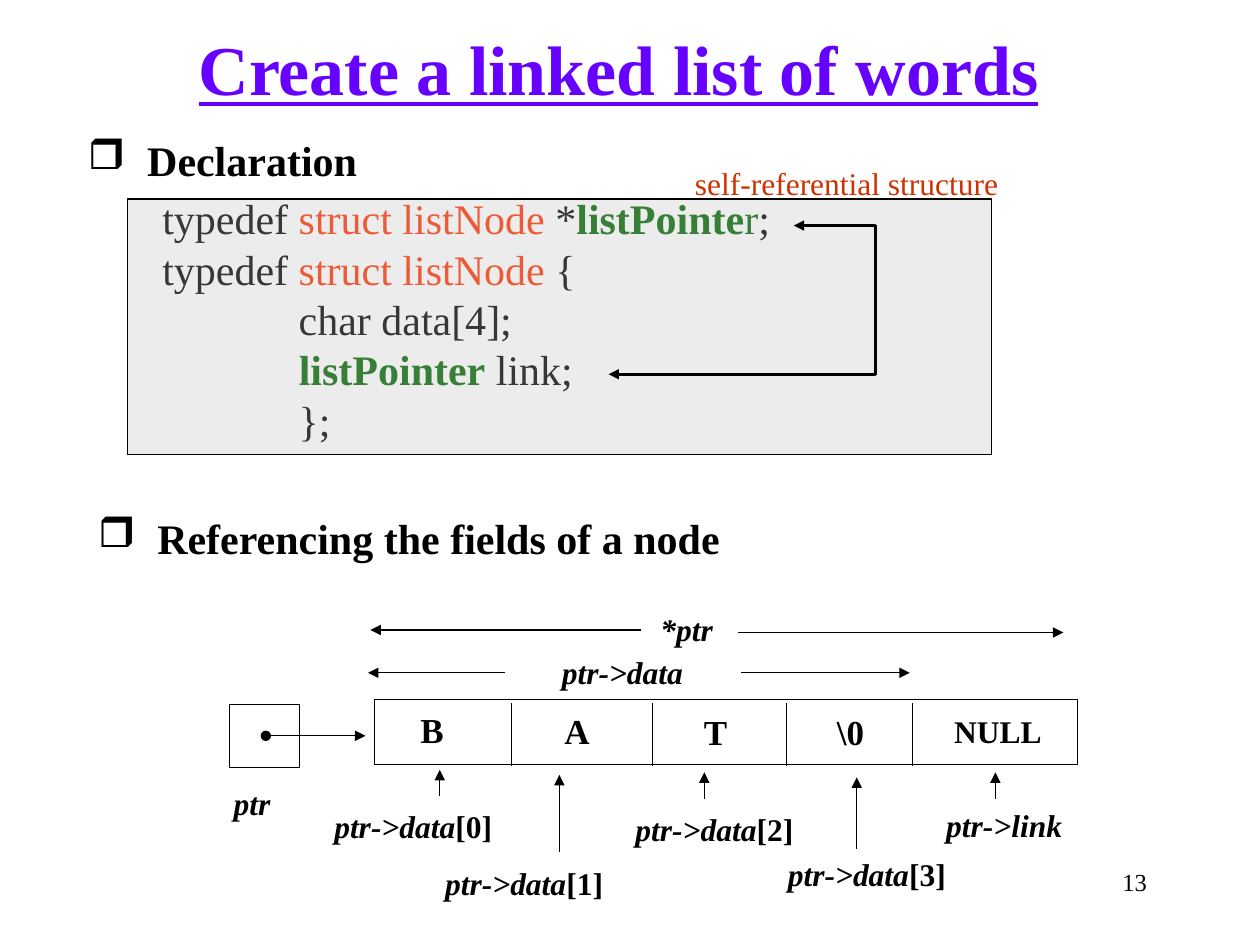
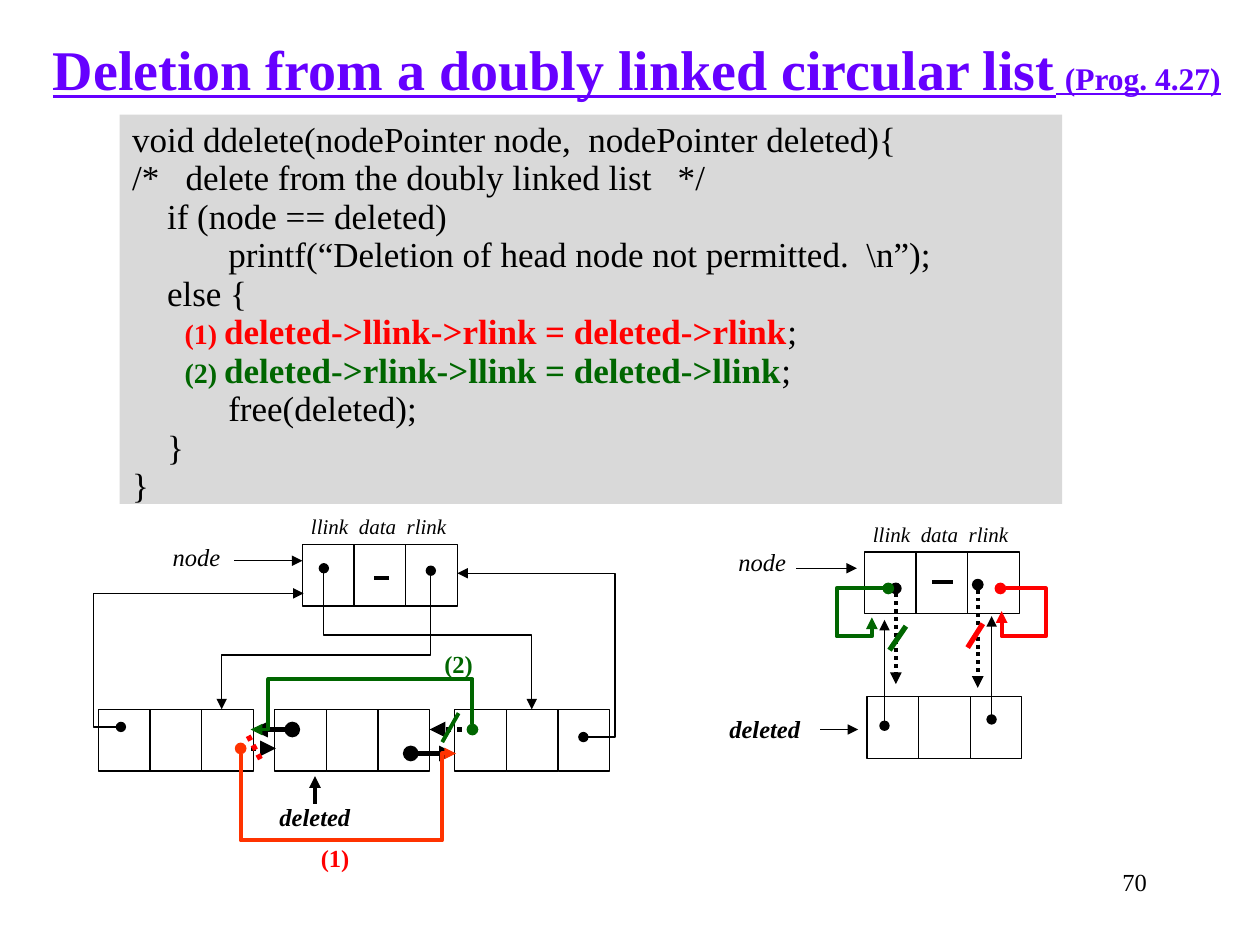
"""Build two slides about linked lists: node declaration and deletion."""
from dataclasses import dataclass
from typing import NamedTuple, Optional

from lxml.etree import SubElement
from pptx import Presentation
from pptx.dml.color import RGBColor
from pptx.enum.dml import MSO_LINE
from pptx.enum.shapes import MSO_CONNECTOR, MSO_SHAPE
from pptx.enum.text import MSO_ANCHOR, PP_ALIGN
from pptx.oxml.ns import qn
from pptx.util import Inches, Pt

FONT = "Times New Roman"
BLACK, PURPLE, RUST = "000000", "6600FF", "CC3300"
GREEN, RED, ORANGE = "006600", "FF0000", "FF3300"
PANEL, SILVER = "D9D9D9", "BFBFBF"
CELL_WIDTH, CELL_HEIGHT = 0.41, 0.49
INDENT = " " * 13


class Span(NamedTuple):
    """A run of text with the settings that differ from its paragraph."""
    text: str
    color: Optional[str] = None
    bold: Optional[bool] = None
    italic: Optional[bool] = None
    size: Optional[float] = None


@dataclass(frozen=True)
class Style:
    """Paragraph-wide text settings."""
    size: float
    color: str = BLACK
    bold: bool = False
    italic: bool = False
    underline: bool = False
    align: PP_ALIGN = PP_ALIGN.CENTER
    spacing: Optional[float] = None


@dataclass(frozen=True)
class Label:
    """A line of centred text placed by its middle and top."""
    text: str
    center: float
    top: float
    style: Style
    suffix: str = ""
    width: float = 1.6


@dataclass(frozen=True)
class Wire:
    """A line through points, with optional ends."""
    points: tuple
    width: float = 0.75
    color: str = BLACK
    head: str = ""
    tail: str = "triangle"
    dotted: bool = False


class Field(NamedTuple):
    """One field of the node, with its caption and pointing arrow."""
    value: str
    center: float
    top: float
    size: float
    caption: str
    suffix: str
    caption_center: float
    caption_top: float
    arrow_x: float
    arrow_from: float
    arrow_to: float


TITLE = Style(40, PURPLE, bold=True, underline=True)
LONG_TITLE = Style(32, PURPLE, bold=True, underline=True)
HEADING = Style(24, bold=True, align=PP_ALIGN.LEFT)
CODE = Style(24, align=PP_ALIGN.LEFT)
SMALL_CODE = Style(20, align=PP_ALIGN.LEFT, spacing=22)
NUMBER = Style(14, align=PP_ALIGN.RIGHT)
POINTER = Style(18, bold=True, italic=True)
NODE_NAME = Style(14, italic=True)
DELETED_NAME = Style(14, bold=True, italic=True)
COLUMNS = Style(12, italic=True, align=PP_ALIGN.LEFT)

DECLARATION = [
    [Span("typedef "), Span("struct listNode", ORANGE), Span(" *"),
     Span("listPointe", GREEN, True), Span("r", GREEN), Span(";")],
    [Span("typedef "), Span("struct listNode", ORANGE), Span(" {")],
    [Span(INDENT + "char data[4];")],
    [Span(INDENT), Span("listPointer", GREEN, True), Span(" link;")],
    [Span(INDENT + "};")],
]
FIELDS = [
    Field("B", 3.43, 5.57, 20, "ptr->data", "[0]", 3.28, 6.36, 3.49, 6.32, 6.11),
    Field("A", 4.58, 5.58, 20, "ptr->data", "[1]", 4.16, 6.81, 4.44, 6.76, 6.15),
    Field("T", 5.68, 5.59, 20, "ptr->data", "[2]", 5.67, 6.38, 5.59, 6.34, 6.13),
    Field("\\0", 6.75, 5.59, 20, "ptr->data", "[3]", 6.88, 6.74, 6.8, 6.74, 6.17),
    Field("NULL", 7.92, 5.6, 18, "ptr->link", "", 7.97, 6.35, 7.9, 6.34, 6.13),
]
NODE_LABELS = [
    Label("self-referential structure", 6.72, 1.25, Style(18, RUST), width=3),
    Label("*ptr", 5.45, 4.79, POINTER),
    Label("ptr->data", 4.94, 5.13, POINTER),
    Label("ptr", 2.0, 6.17, POINTER),
]
NODE_WIRES = [
    Wire(((5.86, 5.02), (8.44, 5.02))),
    Wire(((5.09, 5), (2.94, 5))),
    Wire(((4.01, 5.34), (2.92, 5.34))),
    Wire(((5.88, 5.34), (7.22, 5.34))),
    Wire(((2.11, 5.84), (2.9, 5.84)), head="oval"),
    Wire(((6.3, 1.79), (6.95, 1.79), (6.95, 2.97), (4.83, 2.97)), 1.5, head="triangle"),
]


def step(mark: str, code: str, color: str) -> list[Span]:
    """Return the spans of a numbered statement."""
    return [Span("      "), Span(mark + " ", color, True, size=16),
            Span(code, color, True), Span(";")]


DELETION = [
    [Span("void ddelete(nodePointer node,  nodePointer deleted){")],
    [Span("/*   delete from the doubly linked list   */")],
    [Span("    if (node == deleted)")],
    [Span("           printf(“Deletion of head node not permitted.  \\n”);")],
    [Span("    else {")],
    step("(1)", "deleted->llink->rlink = deleted->rlink", RED),
    step("(2)", "deleted->rlink->llink = deleted->llink", GREEN),
    [Span("           free(deleted);")],
    [Span("    }")],
    [Span("}")],
]
NODES = [(2.4, 4.32), (2.18, 5.63), (3.61, 5.63), (0.78, 5.63), (6.86, 4.38), (6.88, 5.53)]
COLUMN_LABELS = [(2.37, 4.03), (6.83, 4.09)]
LIST_LABELS = [
    Label("node", 1.56, 4.25, NODE_NAME),
    Label("node", 6.05, 4.29, NODE_NAME),
    Label("deleted", 2.5, 6.32, DELETED_NAME),
    Label("deleted", 6.07, 5.62, DELETED_NAME),
    Label("(1)", 2.66, 6.64, Style(14, RED, bold=True)),
    Label("(2)", 3.64, 5.1, Style(14, GREEN, bold=True)),
]
LIST_WIRES = [
    Wire(((2.57, 4.51), (2.57, 5.04), (4.22, 5.04), (4.22, 5.63)), head="oval"),
    Wire(((3.42, 4.53), (3.42, 5.2), (1.76, 5.2), (1.76, 5.63)), head="oval"),
    Wire(((0.96, 5.77), (0.74, 5.77), (0.74, 4.71), (2.41, 4.71)), head="oval"),
    Wire(((1.86, 4.45), (2.4, 4.45))),
    Wire(((4.63, 5.85), (4.88, 5.85), (4.88, 4.55), (3.63, 4.55)), head="oval"),
    Wire(((1.91, 5.94), (2.19, 5.94)), 3, dotted=True),
    Wire(((3.26, 5.98), (3.61, 5.98)), 3, head="oval"),
    Wire(((3.75, 5.79), (3.41, 5.79)), 3, dotted=True),
    Wire(((2.32, 5.79), (2, 5.79)), 3, head="oval"),
    Wire(((1.91, 5.94), (1.91, 6.67), (3.51, 6.67), (3.51, 5.98), (3.62, 5.98)),
         2.25, ORANGE, "oval"),
    Wire(((3.75, 5.79), (3.75, 5.39), (2.13, 5.39), (2.13, 5.79), (1.99, 5.79)),
         2.25, GREEN, "oval"),
    Wire(((2.5, 6.38), (2.5, 6.16)), 2.25),
    Wire(((1.97, 5.84), (2.07, 6.03)), 3, RED, tail="", dotted=True),
    Wire(((3.51, 5.89), (3.64, 5.66)), 2.25, GREEN, tail=""),
    Wire(((2.97, 4.59), (3.09, 4.59)), 2.25, tail=""),
    Wire(((6.32, 4.51), (6.8, 4.51))),
    Wire(((7.11, 4.67), (7.11, 5.43)), 2.25, head="oval", dotted=True),
    Wire(((7.02, 5.76), (7.02, 4.92)), head="oval"),
    Wire(((7.87, 5.71), (7.87, 4.89)), head="oval"),
    Wire(((7.76, 4.64), (7.76, 5.46)), 2.25, head="oval", dotted=True),
    Wire(((6.51, 5.79), (6.81, 5.79))),
    Wire(((7.05, 4.67), (6.64, 4.67), (6.64, 5.05), (6.92, 5.05), (6.92, 4.9)),
         2.25, GREEN, "oval"),
    Wire(((7.06, 5.16), (7.19, 4.97)), 3, GREEN, tail=""),
    Wire(((7.94, 4.67), (8.3, 4.67), (8.3, 5.05), (7.95, 5.05), (7.95, 4.85)),
         2.25, RED, "oval"),
    Wire(((7.68, 5.14), (7.8, 4.95)), 3, RED, tail=""),
    Wire(((7.4, 4.62), (7.56, 4.62)), 2.25, tail=""),
]


def paint(target, color: str) -> None:
    """Give a fill a solid colour."""
    target.solid()
    target.fore_color.rgb = RGBColor.from_string(color)


def write(frame, lines: list, style: Style, bullet: str = "", tabs: tuple = ()) -> None:
    """Write lines of spans into a text frame."""
    frame.word_wrap = True
    for index, spans in enumerate(lines):
        para = frame.add_paragraph() if index else frame.paragraphs[0]
        para.alignment = style.align
        if style.spacing:
            para.line_spacing = Pt(style.spacing)
        props = para._p.get_or_add_pPr()
        if bullet:
            props.set("marL", str(Inches(0.47)))
            props.set("indent", str(-Inches(0.47)))
            SubElement(props, qn("a:buChar"), char=bullet)
        if tabs:
            stops = SubElement(props, qn("a:tabLst"))
            for tab in tabs:
                SubElement(stops, qn("a:tab"), pos=str(Inches(tab)), algn="l")
        font = para.font
        font.name, font.size = FONT, Pt(style.size)
        font.bold, font.italic, font.underline = style.bold, style.italic, style.underline
        paint(font.fill, style.color)
        for span in spans:
            run = para.add_run()
            run.text = span.text
            run.font.bold, run.font.italic = span.bold, span.italic
            if span.size:
                run.font.size = Pt(span.size)
            if span.color:
                paint(run.font.fill, span.color)


def add_text(page, place: tuple, lines: list, style: Style, **options):
    """Add a text box and return its frame."""
    frame = page.shapes.add_textbox(*map(Inches, place)).text_frame
    write(frame, lines, style, **options)
    return frame


def add_label(page, label: Label) -> None:
    """Add a centred label."""
    spans = [Span(label.text)]
    if label.suffix:
        spans.append(Span(label.suffix, italic=False))
    place = (label.center - label.width / 2, label.top, label.width, 0.4)
    add_text(page, place, [spans], label.style)


def add_box(page, place: tuple, fill: str = "", outlined: bool = True):
    """Add a rectangle, outlined in black unless told otherwise."""
    box = page.shapes.add_shape(MSO_SHAPE.RECTANGLE, *map(Inches, place))
    box.shadow.inherit = False
    if fill:
        paint(box.fill, fill)
    else:
        box.fill.background()
    if outlined:
        paint(box.line.fill, BLACK)
        box.line.width = Pt(0.75)
    else:
        box.line.fill.background()
    return box


def add_wire(page, wire: Wire) -> None:
    """Draw a straight connector or a bent open outline."""
    points = [(Inches(x), Inches(y)) for x, y in wire.points]
    straight = len(points) == 2
    if straight:
        shape = page.shapes.add_connector(MSO_CONNECTOR.STRAIGHT, *points[0], *points[1])
    else:
        builder = page.shapes.build_freeform(*points[0])
        builder.add_line_segments(points[1:], close=False)
        shape = builder.convert_to_shape()
        shape.fill.background()
        shape.shadow.inherit = False
    paint(shape.line.fill, wire.color)
    shape.line.width = Pt(wire.width)
    if wire.dotted:
        shape.line.dash_style = MSO_LINE.ROUND_DOT
    outline = shape._element.spPr.find(qn("a:ln"))
    for tag, kind in (("a:headEnd", wire.head), ("a:tailEnd", wire.tail)):
        if kind:
            SubElement(outline, qn(tag), type=kind)
    if straight:
        SubElement(shape._element.spPr, qn("a:effectLst"))


def add_page(deck, number: str, title: list[Span], place: tuple, style: Style):
    """Add a blank page with its title and page number."""
    page = deck.slides.add_slide(deck.slide_layouts[6])
    frame = add_text(page, place, [title], style)
    frame.vertical_anchor = MSO_ANCHOR.MIDDLE
    add_text(page, (7.12, 6.83, 2.08, 0.5), [[Span(number)]], NUMBER)
    return page


def build_declaration(deck) -> None:
    """Build the page on declaring a node and reaching its fields."""
    page = add_page(deck, "13", [Span("Create a linked list of words")],
                    (0.66, 0.06, 8.5, 0.96), TITLE)
    for text, left, top in (("Declaration", 0.6, 1.02),
                            ("Referencing the fields of a node", 0.68, 4.02)):
        add_text(page, (left, top, 6, 0.51), [[Span(text)]], HEADING, bullet="❒")
    add_text(page, (1.19, 1.48, 6, 2.12), DECLARATION, CODE)
    panel = add_box(page, (1.01, 1.58, 6.86, 2.03), SILVER)
    color = panel._element.spPr.find(qn("a:solidFill"))[0]
    SubElement(color, qn("a:alpha"), val="29000")
    add_box(page, (2.97, 5.55, 5.58, 0.52))
    add_box(page, (1.82, 5.59, 0.56, 0.5))
    for x in (4.06, 5.18, 6.24, 7.24):
        add_wire(page, Wire(((x, 5.58), (x, 6.08)), tail=""))
    for field in FIELDS:
        add_label(page, Label(field.value, field.center, field.top, Style(field.size, bold=True)))
        add_label(page, Label(field.caption, field.caption_center, field.caption_top,
                              POINTER, field.suffix))
        add_wire(page, Wire(((field.arrow_x, field.arrow_from), (field.arrow_x, field.arrow_to))))
    for label in NODE_LABELS:
        add_label(page, label)
    for wire in NODE_WIRES:
        add_wire(page, wire)


def build_deletion(deck) -> None:
    """Build the page on deleting from a doubly linked circular list."""
    title = [Span("Deletion from a doubly linked circular list"),
             Span(" ", size=20), Span("(Prog. 4.27)", size=18)]
    page = add_page(deck, "70", title, (0.29, 0.22, 9.53, 0.64), LONG_TITLE)
    panel = add_box(page, (0.95, 0.91, 7.48, 3.09), PANEL, outlined=False)
    panel.text_frame.vertical_anchor = MSO_ANCHOR.TOP
    write(panel.text_frame, DELETION, SMALL_CODE)
    for left, top in NODES:
        for column in range(3):
            add_box(page, (left + column * CELL_WIDTH, top, CELL_WIDTH, CELL_HEIGHT))
    for left, top in COLUMN_LABELS:
        add_text(page, (left, top, 1.6, 0.3), [[Span("llink\tdata\trlink")]],
                 COLUMNS, tabs=(0.38, 0.76))
    for label in LIST_LABELS:
        add_label(page, label)
    for wire in LIST_WIRES:
        add_wire(page, wire)


def main() -> None:
    """Build and save the deck."""
    deck = Presentation()
    deck.slide_width, deck.slide_height = Inches(10), Inches(7.5)
    build_declaration(deck)
    build_deletion(deck)
    deck.save("out.pptx")


if __name__ == "__main__":
    main()
